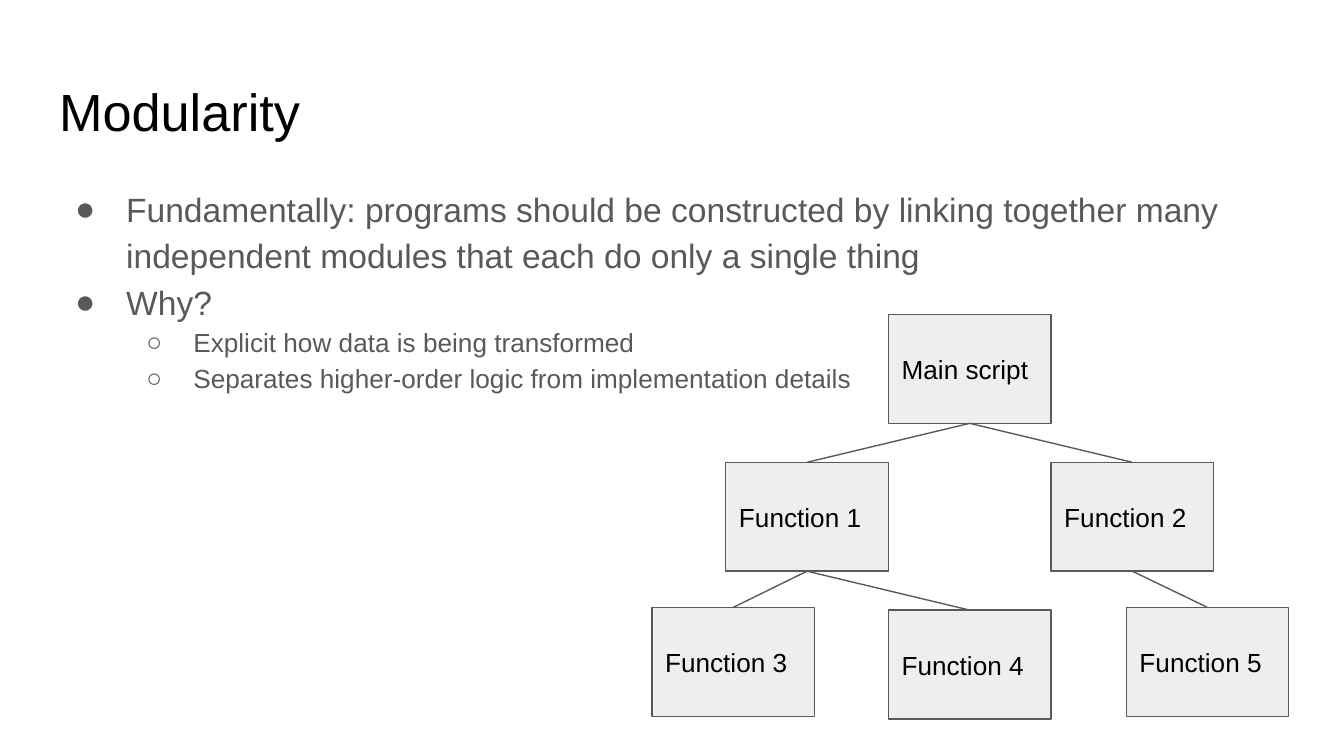
from typing import NamedTuple

from lxml import etree
from pptx import Presentation
from pptx.dml.color import RGBColor
from pptx.enum import shapes, text
from pptx.oxml.ns import qn
from pptx.util import Inches, Pt

BLACK = RGBColor(0x00, 0x00, 0x00)
GRAY = RGBColor(0x59, 0x59, 0x59)
PALE = RGBColor(0xEE, 0xEE, 0xEE)
FONT = "Arial"
BOX_W, BOX_H = 1.21, 0.81
BOTTOM, TOP = 2, 0


class Point(NamedTuple):
    label: str
    level: int = 0


class Level(NamedTuple):
    mark: str
    size: int
    left: float
    hang: float


class Node(NamedTuple):
    label: str
    left: float
    top: float
    parent: str = ""


LEVELS = [Level("●", 18, 0.5, 0.38), Level("○", 14, 1, 0.35)]
POINTS = [
    Point("Fundamentally: programs should be constructed by linking together "
          "many independent modules that each do only a single thing"),
    Point("Why?"),
    Point("Explicit how data is being transformed", 1),
    Point("Separates higher-order logic from implementation details", 1),
]
NODES = [
    Node("Main script", 6.61, 2.34),
    Node("Function 1", 5.4, 3.44, "Main script"),
    Node("Function 2", 7.82, 3.44, "Main script"),
    Node("Function 3", 4.85, 4.52, "Function 1"),
    Node("Function 4", 6.61, 4.54, "Function 1"),
    Node("Function 5", 8.38, 4.52, "Function 2"),
]


def set_frame(frame, anchor) -> None:
    frame.word_wrap = True
    frame.auto_size = text.MSO_AUTO_SIZE.NONE
    frame.vertical_anchor = anchor
    frame.margin_left = frame.margin_right = Inches(0.1)
    frame.margin_top = frame.margin_bottom = Inches(0.1)


def set_font(para, size: int, color: RGBColor) -> None:
    para.alignment = text.PP_ALIGN.LEFT
    for run in para.runs:
        run.font.name = FONT
        run.font.size = Pt(size)
        run.font.color.rgb = color


def add_mark(para, level: Level) -> None:
    """Give the paragraph a hanging bullet."""
    props = para._p.get_or_add_pPr()
    props.set("marL", str(Inches(level.left)))
    props.set("indent", str(-Inches(level.hang)))
    tint = etree.SubElement(props, qn("a:buClr"))
    etree.SubElement(tint, qn("a:srgbClr"), val=str(GRAY))
    etree.SubElement(props, qn("a:buFont"), typeface=FONT)
    etree.SubElement(props, qn("a:buChar"), char=level.mark)


def add_title(slide, label: str) -> None:
    title = slide.shapes.title
    title.left, title.top = Inches(0.34), Inches(0.49)
    title.width, title.height = Inches(9.32), Inches(0.63)
    title.text_frame.text = label
    set_frame(title.text_frame, text.MSO_ANCHOR.TOP)
    set_font(title.text_frame.paragraphs[0], 28, BLACK)


def add_points(slide, points: list[Point]) -> None:
    body = slide.shapes.add_textbox(
        Inches(0.34), Inches(1.26), Inches(9.32), Inches(1.74))
    frame = body.text_frame
    set_frame(frame, text.MSO_ANCHOR.TOP)
    frame.text = "\n".join(point.label for point in points)
    for para, point in zip(frame.paragraphs, points):
        level = LEVELS[point.level]
        para.level = point.level
        add_mark(para, level)
        para.line_spacing = 1.15
        set_font(para, level.size, GRAY)


def add_node(slide, node: Node):
    box = slide.shapes.add_shape(
        shapes.MSO_SHAPE.RECTANGLE, Inches(node.left), Inches(node.top),
        Inches(BOX_W), Inches(BOX_H))
    box.shadow.inherit = False
    box.fill.solid()
    box.fill.fore_color.rgb = PALE
    box.line.color.rgb = GRAY
    box.line.width = Pt(0.75)
    box.text_frame.text = node.label
    set_frame(box.text_frame, text.MSO_ANCHOR.MIDDLE)
    set_font(box.text_frame.paragraphs[0], 14, BLACK)
    return box


def add_link(slide, parent, child) -> None:
    link = slide.shapes.add_connector(shapes.MSO_CONNECTOR.STRAIGHT, 0, 0, 0, 0)
    link.begin_connect(parent, BOTTOM)
    link.end_connect(child, TOP)
    link.line.color.rgb = GRAY
    link.line.width = Pt(0.75)
    etree.SubElement(link._element.spPr, qn("a:effectLst"))


def main() -> None:
    deck = Presentation()
    deck.slide_width = Inches(10)
    deck.slide_height = Inches(10) * 9 // 16
    slide = deck.slides.add_slide(deck.slide_layouts[5])
    add_title(slide, "Modularity")
    add_points(slide, POINTS)
    boxes = {node.label: add_node(slide, node) for node in NODES}
    for node in NODES:
        if node.parent:
            add_link(slide, boxes[node.parent], boxes[node.label])
    deck.save("out.pptx")


if __name__ == "__main__":
    main()
